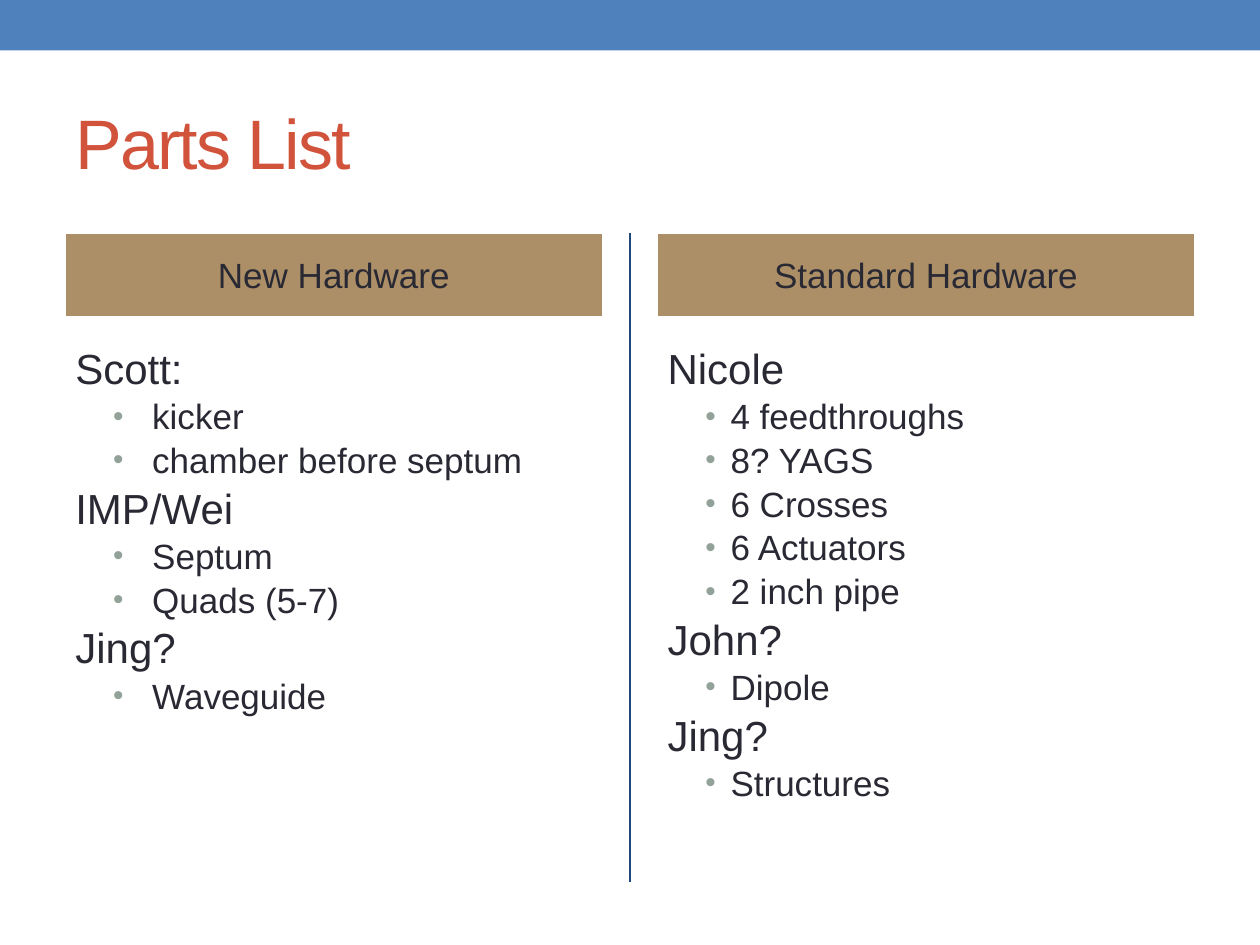
from lxml import etree
from pptx import Presentation
from pptx.dml.color import RGBColor
from pptx.enum import shapes, text
from pptx.oxml import ns
from pptx.util import Inches, Pt

# Content: header, bullet left edge, bullet hang, groups
TITLE = "Parts List"
COLUMNS = [
    ("New Hardware", 0.61, 0.31, [
        ("Scott:", ["kicker", "chamber before septum "]),
        ("IMP/Wei", ["Septum", "Quads (5-7)"]),
        ("Jing?", ["Waveguide"]),
    ]),
    ("Standard Hardware", 0.5, 0.2, [
        ("Nicole", ["4 feedthroughs", "8? YAGS", "6 Crosses",
                    "6 Actuators", "2 inch pipe"]),
        ("John?", ["Dipole"]),
        ("Jing?", ["Structures"]),
    ]),
]


class Theme:
    font = "Arial"
    band, rule, title = "4F81BD", "1F497D", "D2533C"
    head, edge, ink, dot = "AD8F67", "FFFFFF", "292934", "93A299"
    big, group, item = 40, 24, 20


WIDTH, MARGIN, COL, GAP = 10, 0.5, 4.3, 0.4


def color(code):
    return RGBColor.from_string(code)


def style(para, size, ink=Theme.ink):
    font = para.font
    font.name, font.size = Theme.font, Pt(size)
    font.color.rgb = color(ink)


def block(left, top, width, height, fill):
    box = slide.shapes.add_shape(shapes.MSO_SHAPE.RECTANGLE, Inches(left),
                                 Inches(top), Inches(width), Inches(height))
    box.shadow.inherit = False
    box.fill.solid()
    box.fill.fore_color.rgb = color(fill)
    box.line.fill.background()
    return box


def frame(left, top, width, height):
    box = slide.shapes.add_textbox(Inches(left), Inches(top),
                                   Inches(width), Inches(height))
    box.text_frame.word_wrap = True
    return box.text_frame


def bullet(para, left, hang):
    props = para._p.get_or_add_pPr()
    props.set("lvl", "1")
    props.set("marL", str(Inches(left)))
    props.set("indent", str(-Inches(hang)))
    tint = etree.SubElement(props, ns.qn("a:buClr"))
    etree.SubElement(tint, ns.qn("a:srgbClr"), val=Theme.dot)
    etree.SubElement(props, ns.qn("a:buSzPct"), val="85000")
    etree.SubElement(props, ns.qn("a:buFont"), typeface=Theme.font)
    etree.SubElement(props, ns.qn("a:buChar"), char="•")


deck = Presentation()
deck.slide_width, deck.slide_height = Inches(WIDTH), Inches(7.5)
slide = deck.slides.add_slide(deck.slide_layouts[6])

# Top band and centre rule
block(0, 0, WIDTH, 0.4, Theme.band)
rule = slide.shapes.add_connector(shapes.MSO_CONNECTOR.STRAIGHT,
                                  Inches(WIDTH / 2), Inches(1.85),
                                  Inches(WIDTH / 2), Inches(7))
rule.line.color.rgb = color(Theme.rule)
rule.line.width = Pt(1.5)
etree.SubElement(rule._element.spPr, ns.qn("a:effectLst"))

# Title
area = frame(MARGIN, 0.58, WIDTH - 2 * MARGIN, 1.08)
area.vertical_anchor = text.MSO_ANCHOR.MIDDLE
para = area.paragraphs[0]
run = para.add_run()
run.text = TITLE
style(para, Theme.big, Theme.title)
run._r.get_or_add_rPr().set("spc", "-100")

# Columns
for col, (name, left, hang, groups) in enumerate(COLUMNS):
    x = MARGIN + col * (COL + GAP)
    head = block(x, 1.83, COL, 0.7, Theme.head)
    head.line.color.rgb = color(Theme.edge)
    head.line.width = Pt(3.5)
    head.text_frame.vertical_anchor = text.MSO_ANCHOR.MIDDLE
    para = head.text_frame.paragraphs[0]
    para.text = name
    para.alignment = text.PP_ALIGN.CENTER
    style(para, Theme.item)

    area = frame(x, 2.67, COL, 4.33)
    lines = [(word, sub) for group, items in groups
             for word, sub in [(group, False)] + [(i, True) for i in items]]
    for row, (word, sub) in enumerate(lines):
        para = area.add_paragraph() if row else area.paragraphs[0]
        para.text = word
        para.space_before = Pt(1)
        style(para, Theme.item if sub else Theme.group)
        if sub:
            bullet(para, left, hang)

deck.save("out.pptx")
